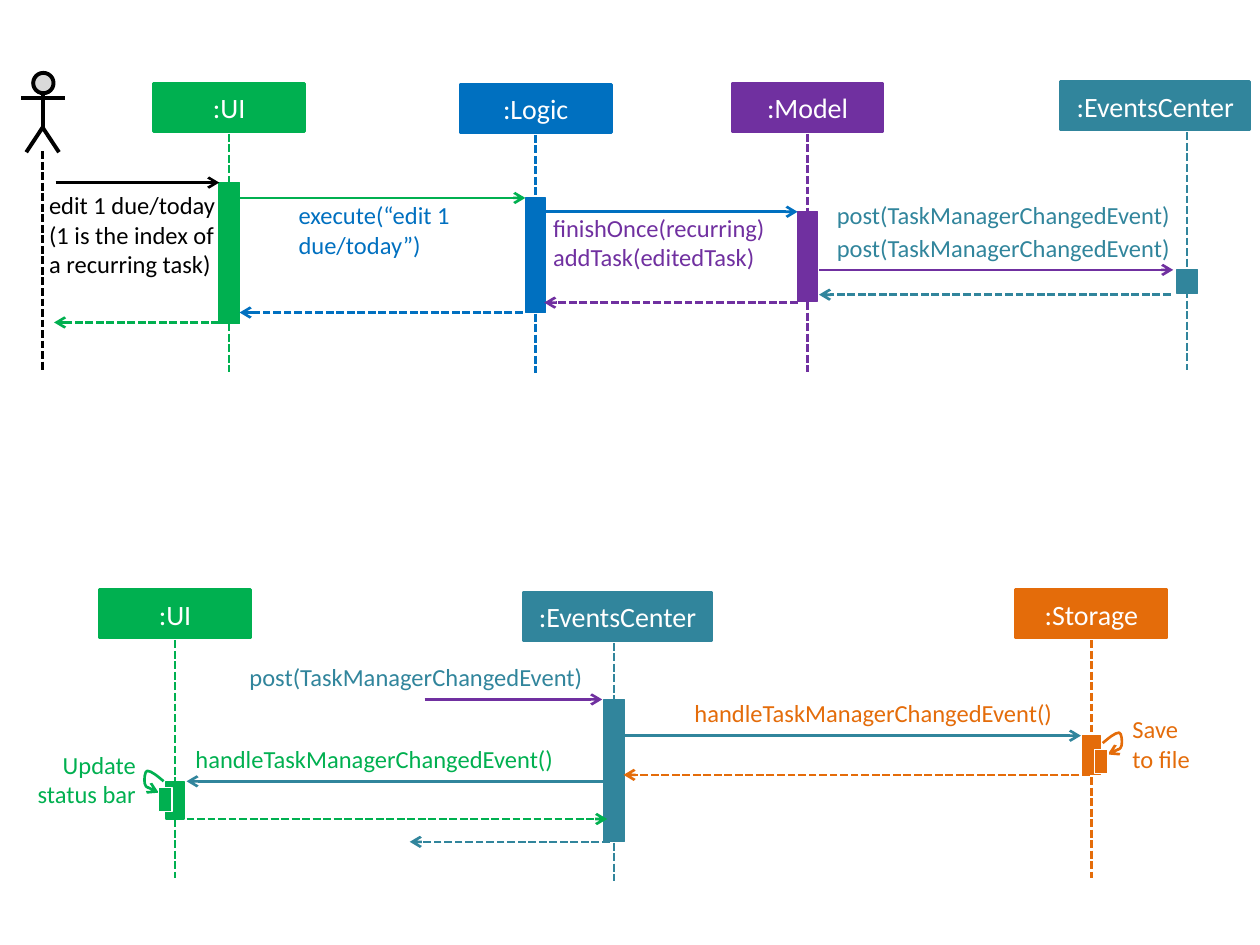
import lxml.etree
import pptx
import pptx.dml.color
import pptx.enum.dml
import pptx.enum.shapes
import pptx.enum.text
import pptx.oxml.ns
import pptx.util

Cm = pptx.util.Cm
Pt = pptx.util.Pt
RGBColor = pptx.dml.color.RGBColor
qn = pptx.oxml.ns.qn
SHAPES = pptx.enum.shapes.MSO_SHAPE
ALIGN = pptx.enum.text.PP_ALIGN
ANCHOR = pptx.enum.text.MSO_ANCHOR

GREEN = RGBColor(0x00, 0xB0, 0x50)
BLUE = RGBColor(0x00, 0x70, 0xC0)
PURPLE = RGBColor(0x70, 0x30, 0xA0)
TEAL = RGBColor(0x31, 0x85, 0x9C)
ORANGE = RGBColor(0xE4, 0x6C, 0x0A)
BLACK = RGBColor(0x00, 0x00, 0x00)
GREY = RGBColor(0xD9, 0xD9, 0xD9)
WHITE = RGBColor(0xFF, 0xFF, 0xFF)

FONT = "Calibri"
BOX_HEIGHT = 0.97
LIFELINE_OFFSET = 1.02
LIFELINE_LENGTH = 4.79
LABEL_LINE_HEIGHT = 0.6

# name, colour, lifeline x, box centre, box top, box width, bar width, bar top, bar bottom
PARTICIPANTS = [
    (":UI", GREEN, 4.62, 4.62, 1.68, 3.05, 0.43, 3.68, 6.53),
    (":Logic", BLUE, 10.8, 10.8, 1.7, 3.05, 0.41, 3.99, 6.3),
    (":Model", PURPLE, 16.28, 16.28, 1.68, 3.05, 0.41, 4.27, 6.07),
    (":EventsCenter", TEAL, 23.93, 23.29, 1.65, 3.81, 0.41, 5.44, 5.92),
    (":UI", GREEN, 3.53, 3.53, 11.89, 3.05, 0.36, 15.75, 16.51),
    (":EventsCenter", TEAL, 12.38, 12.45, 11.94, 3.81, 0.41, 14.1, 16.97),
    (":Storage", ORANGE, 22, 22, 11.89, 3.05, 0.36, 14.83, 15.62),
]

# start x, end x, y, colour
CALLS = [
    (1.12, 4.42, 3.68, BLACK),
    (4.83, 10.59, 3.99, GREEN),
    (10.97, 16.08, 4.27, BLUE),
    (16.51, 23.65, 5.44, PURPLE),
    (8.56, 12.14, 14.1, PURPLE),
    (12.57, 21.79, 14.83, TEAL),
    (12.24, 3.76, 15.75, TEAL),
]
REPLIES = [
    (16.08, 10.97, 6.1, PURPLE),
    (10.54, 4.83, 6.3, BLUE),
    (4.42, 1.09, 6.5, GREEN),
    (23.6, 16.51, 5.94, TEAL),
    (21.97, 12.57, 15.62, ORANGE),
    (3.76, 12.24, 16.51, GREEN),
    (12.29, 8.26, 16.97, TEAL),
]

# text, left, top, width, number of lines, colour, alignment
LABELS = [
    ("edit 1 due/today\n(1 is the index of a recurring task)",
     0.99, 3.84, 3.51, 3, BLACK, ALIGN.LEFT),
    ("execute(“edit 1 due/today”)", 6.02, 4.04, 3.96, 2, BLUE, ALIGN.LEFT),
    ("finishOnce(recurring)\naddTask(editedTask)",
     11.15, 4.29, 4.75, 2, PURPLE, ALIGN.LEFT),
    ("post(TaskManagerChangedEvent)", 16.87, 4.04, 6.78, 1, TEAL, ALIGN.LEFT),
    ("post(TaskManagerChangedEvent)", 16.87, 4.7, 6.78, 1, TEAL, ALIGN.LEFT),
    ("post(TaskManagerChangedEvent)", 5.03, 13.34, 7.54, 1, TEAL, ALIGN.LEFT),
    ("handleTaskManagerChangedEvent()", 14, 14.07, 7.39, 1, ORANGE, ALIGN.LEFT),
    ("handleTaskManagerChangedEvent()", 3.94, 14.99, 7.39, 1, GREEN, ALIGN.LEFT),
    ("Update status bar", 0.53, 15.11, 2.21, 2, GREEN, ALIGN.RIGHT),
    ("Save\vto file", 22.83, 14.4, 1.5, 2, ORANGE, ALIGN.LEFT),
]

# Bezier points of a self-call, relative to its arrowhead
LOOP = [(0, 0), (-0.13, -0.05), (-0.25, -0.1), (-0.28, -0.18), (-0.3, -0.26),
        (-0.28, -0.44), (-0.23, -0.44), (-0.15, -0.44), (-0.02, -0.33), (0.1, -0.23)]


def set_values(target, values):
    """Set each attribute named in values on target."""
    for name, value in values.items():
        setattr(target, name, value)


def style_line(shape, colour, width, dashed=False, arrow=None):
    """Set colour, width, dash and arrowhead ("headEnd" or "tailEnd")."""
    shape.line.color.rgb = colour
    shape.line.width = Pt(width)
    if dashed:
        shape.line.dash_style = pptx.enum.dml.MSO_LINE.SQUARE_DOT
    if arrow:
        outline = shape.element.spPr.find(qn("a:ln"))
        lxml.etree.SubElement(outline, qn("a:" + arrow), type="arrow")


def write_text(text_frame, text, size, colour, alignment, frame_values):
    """Fill a text frame with uniformly formatted text."""
    set_values(text_frame, {"word_wrap": True, **frame_values})
    text_frame.text = text
    for paragraph in text_frame.paragraphs:
        paragraph.alignment = alignment
        for run in paragraph.runs:
            set_values(run.font, {"name": FONT, "size": Pt(size)})
            run.font.color.rgb = colour


def add_block(slide, kind, left, top, width, height, fill, line, line_width):
    """Add a filled preset shape."""
    shape = slide.shapes.add_shape(kind, Cm(left), Cm(top), Cm(width), Cm(height))
    shape.shadow.inherit = False
    shape.fill.solid()
    shape.fill.fore_color.rgb = fill
    style_line(shape, line, line_width)
    return shape


def add_line(slide, start, end, colour, width=1.5, dashed=False, arrow=None):
    """Add a straight connector between two points."""
    connector = slide.shapes.add_connector(
        pptx.enum.shapes.MSO_CONNECTOR.STRAIGHT, *map(Cm, (*start, *end)))
    style_line(connector, colour, width, dashed, arrow)
    lxml.etree.SubElement(connector.element.spPr, qn("a:effectLst"))


def add_outline(slide, points, colour, width, arrow=None):
    """Add an open, unfilled freeform through the points."""
    places = [(Cm(x), Cm(y)) for x, y in points]
    builder = slide.shapes.build_freeform(*places[0])
    builder.add_line_segments(places[1:], close=False)
    shape = builder.convert_to_shape()
    shape.shadow.inherit = False
    shape.fill.background()
    style_line(shape, colour, width, arrow=arrow)
    return shape


def add_participant(slide, name, colour, axis, centre, top, width,
                    bar_width, bar_top, bar_bottom):
    """Add a named box, its lifeline and its activation bar."""
    box = add_block(slide, SHAPES.RECTANGLE, centre - width / 2, top, width,
                    BOX_HEIGHT, colour, colour, 1.5)
    write_text(box.text_frame, name, 16, WHITE, ALIGN.CENTER,
               {"vertical_anchor": ANCHOR.MIDDLE})
    start = top + LIFELINE_OFFSET
    add_line(slide, (axis, start), (axis, start + LIFELINE_LENGTH), colour, dashed=True)
    add_block(slide, SHAPES.RECTANGLE, axis - bar_width / 2, bar_top, bar_width,
              bar_bottom - bar_top, colour, colour, 0.75)


def add_actor(slide):
    """Add the stick figure and its lifeline."""
    axis = 0.86
    add_block(slide, SHAPES.FLOWCHART_CONNECTOR, 0.67, 1.47, 0.41, 0.41, GREY, BLACK, 2.25)
    add_line(slide, (axis, 1.88), (axis, 2.59), BLACK, 2.25)
    add_line(slide, (0.43, 1.98), (1.32, 1.98), BLACK, 2.25)
    add_outline(slide, [(0.53, 3.07), (axis, 2.57), (1.19, 3.07)], BLACK, 2.25)
    add_line(slide, (axis, 3.05), (axis, 7.49), BLACK, dashed=True)


def add_label(slide, text, left, top, width, lines, colour, alignment):
    """Add a message label without margins."""
    label = slide.shapes.add_textbox(
        Cm(left), Cm(top), Cm(width), Cm(lines * LABEL_LINE_HEIGHT))
    margins = {"margin_" + side: 0 for side in ("left", "top", "right", "bottom")}
    write_text(label.text_frame, text, 14, colour, alignment, margins)


def add_self_call(slide, x, y, side, colour):
    """Add a curved self-call and its nested bar; side -1 mirrors it."""
    loop = add_outline(slide, [(x + side * dx, y + dy) for dx, dy in LOOP],
                       colour, 1.5, "headEnd")
    segments = list(loop.element.iter(qn("a:lnTo")))
    for first in range(0, len(segments), 3):
        curve = lxml.etree.Element(qn("a:cubicBezTo"))
        segments[first].addprevious(curve)
        for segment in segments[first:first + 3]:
            curve.append(segment[0])
            segment.getparent().remove(segment)
    add_block(slide, SHAPES.RECTANGLE, x + side * 0.13 - 0.14, y - 0.1, 0.28, 0.48,
              colour, WHITE, 0.75)


def main():
    """Build and save the sequence diagrams."""
    presentation = pptx.Presentation()
    set_values(presentation, {"slide_width": Cm(25.4), "slide_height": Cm(19.05)})
    slide = presentation.slides.add_slide(presentation.slide_layouts[6])
    add_actor(slide)
    for participant in PARTICIPANTS:
        add_participant(slide, *participant)
    for messages, dashed in ((CALLS, False), (REPLIES, True)):
        for start, end, y, colour in messages:
            add_line(slide, (start, y), (end, y), colour, dashed=dashed, arrow="tailEnd")
    add_self_call(slide, 3.2, 15.98, 1, GREEN)
    add_self_call(slide, 22.33, 15.21, -1, ORANGE)
    for label in LABELS:
        add_label(slide, *label)
    presentation.save("out.pptx")


main()
